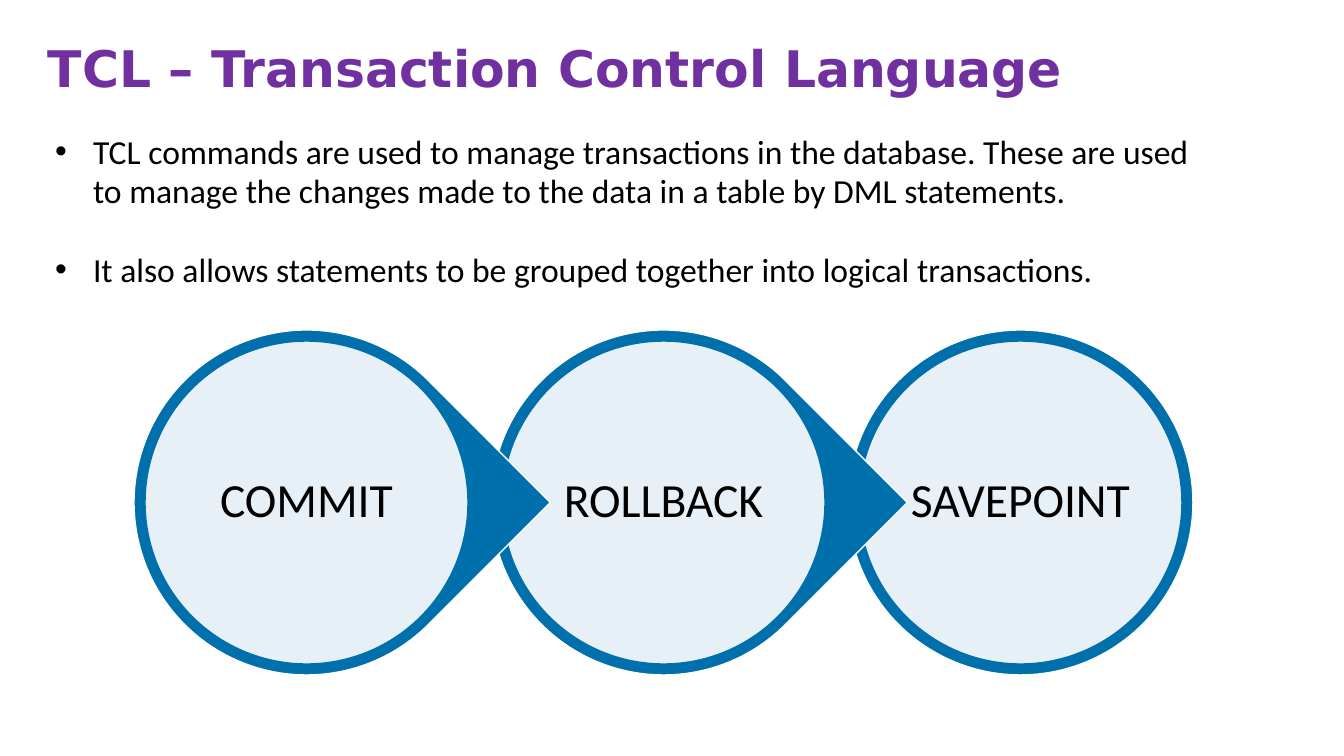
from lxml import etree
from pptx import Presentation
from pptx import util as u
from pptx.dml.color import RGBColor
from pptx.enum import shapes, text
from pptx.oxml.ns import qn

TITLE = "TCL – Transaction Control Language"
POINTS = [
    "TCL commands are used to manage transactions in the database. These are used "
    "to manage the changes made to the data in a table by DML statements.",
    "It also allows statements to be grouped together into logical transactions.",
]
COMMANDS = ["COMMIT", "ROLLBACK", "SAVEPOINT"]

BLUE, WHITE, BLACK, PURPLE = (
    RGBColor.from_string(code) for code in ("0070AD", "FFFFFF", "000000", "7030A0"))
THEME = {
    "title": {"name": "DejaVu Sans", "size": u.Pt(36), "bold": True, "color": PURPLE},
    "point": {"name": "Calibri", "size": u.Pt(24), "color": BLACK},
    "command": {"name": "Calibri", "size": u.Pt(34), "color": BLACK},
    "disc_opacity": 90,
}

PX = 914400 / 100.8
SLIDE_SIZE = (1344, 756)
TITLE_BOX = (48, 44, 1215, 95)
POINTS_BOX = (55, 132, 1159, 180)
BULLET_INDENT = 38
CHAIN_LEFT, CHAIN_TOP, CHAIN_STEP = 134, 330, 357
RING_SIZE, RING_WIDTH = 345, 11


def px(*lengths):
    return [u.Emu(round(length * PX)) for length in lengths]


def set_all(target, values):
    for name, value in values.items():
        setattr(target, name, value)


def write(paragraph, content, style, **layout):
    paragraph.text = content
    set_all(paragraph, layout)
    set_all(paragraph.font, {k: v for k, v in style.items() if k != "color"})
    paragraph.font.color.rgb = style["color"]


def prepare_frame(shape, anchor):
    set_all(shape.text_frame, {
        "word_wrap": True, "vertical_anchor": anchor, "margin_left": 0,
        "margin_top": 0, "margin_right": 0, "margin_bottom": 0})
    return shape.text_frame


def add_text_box(slide, box):
    return prepare_frame(slide.shapes.add_textbox(*px(*box)), text.MSO_ANCHOR.TOP)


def add_bullet(paragraph):
    properties = paragraph._p.get_or_add_pPr()
    indent = px(BULLET_INDENT)[0]
    properties.set("marL", str(indent))
    properties.set("indent", str(-indent))
    etree.SubElement(properties, qn("a:buFont"), typeface="Arial")
    etree.SubElement(properties, qn("a:buChar"), char="•")


def add_outlined(slide, kind, box, fill, line):
    shape = slide.shapes.add_shape(kind, *px(*box))
    shape.shadow.inherit = False
    shape.fill.solid()
    shape.fill.fore_color.rgb = fill
    shape.line.color.rgb = line
    shape.line.width = u.Pt(1)
    return shape


def add_command(slide, index, command):
    """Draw one ring with its disc; every ring but the last points to the next."""
    left = CHAIN_LEFT + index * CHAIN_STEP
    is_last = index == len(COMMANDS) - 1
    kind = shapes.MSO_SHAPE.OVAL if is_last else shapes.MSO_SHAPE.TEAR
    ring = add_outlined(slide, kind, (left, CHAIN_TOP, RING_SIZE, RING_SIZE), BLUE, WHITE)
    if not is_last:
        ring.rotation = 45

    disc_size = RING_SIZE - 2 * RING_WIDTH
    disc_box = (left + RING_WIDTH, CHAIN_TOP + RING_WIDTH, disc_size, disc_size)
    disc = add_outlined(slide, shapes.MSO_SHAPE.OVAL, disc_box, WHITE, BLUE)
    color = disc.fill._xPr.find(qn("a:solidFill"))[0]
    etree.SubElement(color, qn("a:alpha"), val=str(THEME["disc_opacity"] * 1000))
    frame = prepare_frame(disc, text.MSO_ANCHOR.MIDDLE)
    write(frame.paragraphs[0], command, THEME["command"],
          alignment=text.PP_ALIGN.CENTER, line_spacing=0.9)


def main():
    presentation = Presentation()
    presentation.slide_width, presentation.slide_height = px(*SLIDE_SIZE)
    slide = presentation.slides.add_slide(presentation.slide_layouts[6])

    title = add_text_box(slide, TITLE_BOX)
    write(title.paragraphs[0], TITLE, THEME["title"], line_spacing=0.9)

    points = add_text_box(slide, POINTS_BOX)
    for index, point in enumerate(POINTS):
        paragraph = points.add_paragraph() if index else points.paragraphs[0]
        add_bullet(paragraph)
        write(paragraph, point, THEME["point"], line_spacing=u.Pt(28),
              space_before=u.Pt(28 if index else 0))

    for index, command in reversed(list(enumerate(COMMANDS))):
        add_command(slide, index, command)

    presentation.save("out.pptx")


if __name__ == "__main__":
    main()
